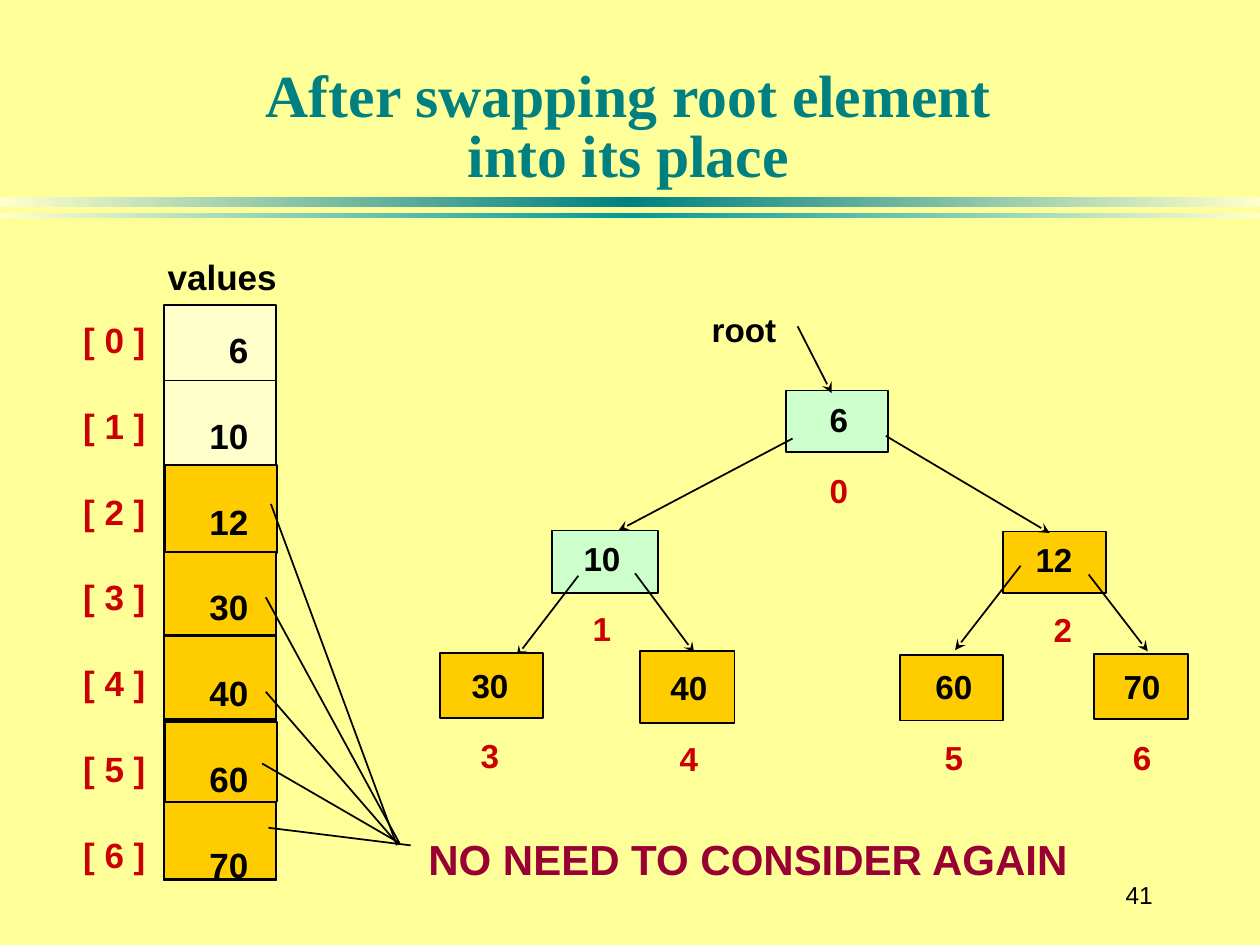
from lxml import etree
from pptx import Presentation
from pptx.dml.color import RGBColor
from pptx.enum.shapes import MSO_CONNECTOR as Connector, MSO_SHAPE as Shape
from pptx.enum.text import MSO_ANCHOR as Anchor, PP_ALIGN as Align
from pptx.oxml.ns import qn
from pptx.util import Pt

PALE_YELLOW = RGBColor(0xFF, 0xFF, 0x99)
CREAM = RGBColor(0xFF, 0xFF, 0xCC)
GOLD = RGBColor(0xFF, 0xCC, 0x00)
MINT = RGBColor(0xCC, 0xFF, 0xCC)
TEAL = RGBColor(0x00, 0x80, 0x80)
BRIGHT_TEAL = RGBColor(0x00, 0x99, 0x99)
RED = RGBColor(0xCC, 0x00, 0x00)
MAROON = RGBColor(0x99, 0x00, 0x33)
BLACK = RGBColor(0x00, 0x00, 0x00)

VALUES = [6, 10, 12, 30, 40, 60, 70]


def apply_format(target, values):
    for name, value in values.items():
        setattr(target, name, value)


def add_text(page, box, lines, size, align=Align.LEFT, gap=0, wrap=False,
             anchor=Anchor.TOP, spacing=None, font="Arial", bold=True):
    frame = page.shapes.add_textbox(*map(Pt, box)).text_frame
    apply_format(frame, dict(margin_left=0, margin_right=0, margin_top=0,
                             margin_bottom=0, word_wrap=wrap,
                             vertical_anchor=anchor))
    for index, (text, color) in enumerate(lines):
        para = frame.add_paragraph() if index else frame.paragraphs[0]
        para.alignment = align
        if index:
            para.space_before = Pt(gap)
        if spacing:
            para.line_spacing = spacing
        para.text = text
        for span in para.runs:
            apply_format(span.font, dict(name=font, size=Pt(size), bold=bold))
            span.font.color.rgb = color
    return frame


def add_box(page, box, color):
    shape = page.shapes.add_shape(Shape.RECTANGLE, *map(Pt, box))
    shape.shadow.inherit = False
    shape.fill.solid()
    shape.fill.fore_color.rgb = color
    shape.line.color.rgb = BLACK
    shape.line.width = Pt(1)
    return shape


def add_line(page, origin, ends, arrow=False):
    left, top = origin
    x1, y1, x2, y2 = ends
    line = page.shapes.add_connector(Connector.STRAIGHT, Pt(left + x1), Pt(top + y1),
                                     Pt(left + x2), Pt(top + y2))
    line.line.color.rgb = BLACK
    line.line.width = Pt(1)
    if arrow:
        etree.SubElement(line.line._get_or_add_ln(), qn("a:tailEnd"), type="stealth")
    etree.SubElement(line._element.spPr, qn("a:effectLst"))


def add_rule(page, box, middle):
    shape = add_box(page, box, middle)
    shape.line.fill.background()
    shape.fill.gradient()
    shape.fill.gradient_angle = 0
    stops = shape._element.spPr.find(qn("a:gradFill")).find(qn("a:gsLst"))
    for stop in list(stops):
        stops.remove(stop)
    for position, color in ((0, CREAM), (50000, middle), (100000, CREAM)):
        stop = etree.SubElement(stops, qn("a:gs"), pos=str(position))
        etree.SubElement(stop, qn("a:srgbClr"), val=str(color))


def add_heading(page, box):
    left, top, width, height = box
    add_text(page, (left + 24, top + 22, width - 50, 86),
             [("After swapping root element\vinto its place", TEAL)], 34.1,
             align=Align.CENTER, wrap=True, anchor=Anchor.BOTTOM,
             spacing=0.83, font="Times New Roman")
    add_rule(page, (left, top + 112.5, width, 5.8), TEAL)
    add_rule(page, (left, top + 121.7, width, 2.9), BRIGHT_TEAL)


def add_array(page, box):
    left, top, width, height = box
    cell_left, cell_width = left + 53.6, 64.1
    add_text(page, (left + 55.8, top + 6, 63, 23), [("values", BLACK)], 20)
    add_box(page, (cell_left, top + 34.2, cell_width, height - 34.2), CREAM)
    for row in range(6):
        y = 77.4 + 48.65 * row
        add_line(page, (left, top), (53.6, y, 118, y))
    for shift, y, cell_height in ((0.7, 125.7, 50.4), (0, 175.4, 47.5),
                                  (0, 223.6, 47.5), (0.7, 272.6, 45.4),
                                  (0, 318.6, 43.9)):
        add_box(page, (cell_left + shift, top + y, cell_width, cell_height), GOLD)
    indexes = [(f"[ {index} ]", RED) for index in range(len(VALUES))]
    add_text(page, (left + 7.5, top + 42, 37, 312), indexes, 20, gap=25)
    add_text(page, (left + 72, top + 47.8, 30, 312),
             [(str(value), BLACK) for value in VALUES], 20, align=Align.RIGHT, gap=25)


def add_node(page, origin, index, box, text_center, text_top, color, label_indent=0):
    left, top = origin
    x, y, width, height = box
    add_box(page, (left + x, top + y, width, height), color)
    frame = add_text(page, (left + text_center - 25, top + text_top, 50, 62),
                     [(str(VALUES[index]), BLACK), (str(index), RED)], 19,
                     align=Align.CENTER, gap=17.6, wrap=True)
    if label_indent:
        frame.paragraphs[1]._p.get_or_add_pPr().set("marL", str(Pt(label_indent)))


def add_tree(page, box):
    origin = left, top = box[:2]
    add_text(page, (left + 156.7, top + 5, 38, 22), [("root", BLACK)], 19)
    add_node(page, origin, 0, (199.3, 51.2, 58.3, 35.3), 229.4, 56.1, MINT)
    add_node(page, origin, 1, (65.4, 131.1, 60.5, 36), 94, 135.3, MINT)
    add_node(page, origin, 2, (323.1, 131.8, 59, 35.3), 352.3, 136, GOLD, 10)
    for ends in ((205.8, 14.5, 225.2, 52.6), (202.9, 78.6, 103.5, 131.1),
                 (256.2, 77.1, 349.8, 132.6), (80.5, 157, 45.2, 203.1),
                 (112.9, 155.6, 146.7, 201), (333.2, 151.3, 295.8, 199.5),
                 (372.1, 156.3, 405.9, 200.2)):
        add_line(page, origin, ends, arrow=True)
    add_node(page, origin, 3, (1.3, 201, 59, 37.4), 30, 208, GOLD)
    add_node(page, origin, 4, (115.8, 200.2, 54, 41), 143.7, 209.5, GOLD)
    add_node(page, origin, 5, (264.1, 202.4, 59, 37.4), 295.1, 208.7, GOLD)
    add_node(page, origin, 6, (375, 201.7, 54, 37.4), 402.6, 208.7, GOLD)


def add_callout(page, box):
    origin = left, top = box[:2]
    for ends in ((9.8, 8, 81.8, 203.1), (6.9, 61.3, 83.2, 201.7),
                 (6.9, 115.3, 81.8, 201.7), (4.8, 156.3, 83.2, 201.7),
                 (8.4, 193, 89.7, 203.1)):
        add_line(page, origin, ends)
    add_text(page, (left + 99.8, top + 196.5, 368, 28),
             [("NO NEED TO CONSIDER AGAIN", MAROON)], 24)


def add_page_number(page, box):
    add_text(page, box, [("41", BLACK)], 14, align=Align.RIGHT,
             anchor=Anchor.MIDDLE, bold=False)


def main():
    deck = Presentation()
    apply_format(deck, dict(slide_width=Pt(720), slide_height=Pt(540)))
    page = deck.slides.add_slide(deck.slide_layouts[6])
    page.background.fill.solid()
    page.background.fill.fore_color.rgb = PALE_YELLOW
    add_heading(page, (0, 0, 720, 125))
    add_array(page, (40, 140, 120, 363.2))
    add_tree(page, (250, 172, 430, 270))
    add_callout(page, (145, 280, 468, 225))
    add_page_number(page, (625, 493, 33.8, 36))
    deck.save("out.pptx")


if __name__ == "__main__":
    main()
